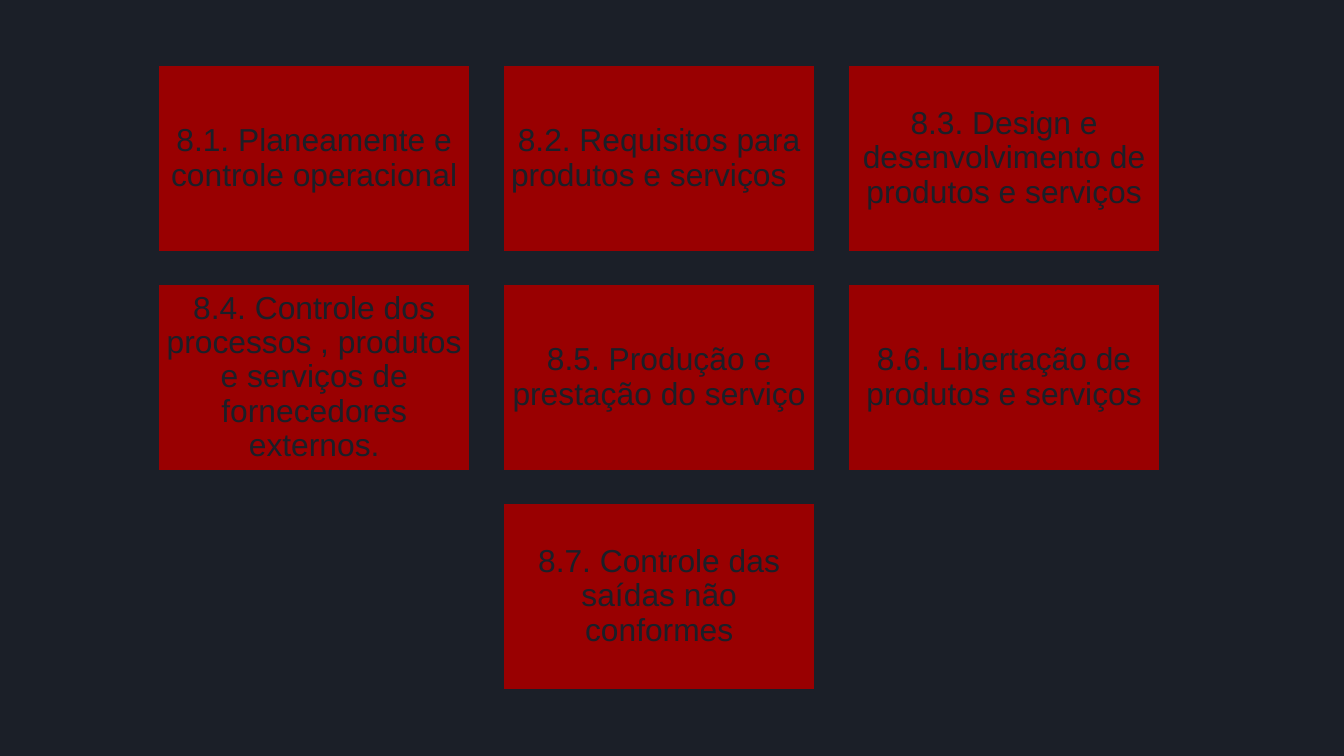
from pptx import Presentation
from pptx import util as u
from pptx.dml.color import RGBColor
from pptx.enum import shapes, text

COLORS = {"night": "1B1F28", "red": "990001"}
ROWS = [
    ["8.1. Planeamente e controle operacional",
     "8.2. Requisitos para produtos e serviços\t",
     "8.3. Design e desenvolvimento de produtos e serviços"],
    ["8.4. Controle dos processos , produtos e serviços de fornecedores externos.",
     "8.5. Produção e prestação do serviço",
     "8.6. Libertação de produtos e serviços"],
    ["8.7. Controle das saídas não conformes"],
]

# Grid, in centimetres
COLUMNS = 3
LEFT, TOP = 2.97, 1.22
WIDTH, HEIGHT = 5.94, 3.56
GAP = 0.58
INSET = u.Cm(0.17)


class Deck:
    frame_format = {
        "word_wrap": True, "vertical_anchor": text.MSO_ANCHOR.MIDDLE,
        "margin_left": INSET, "margin_right": INSET,
        "margin_top": INSET, "margin_bottom": INSET,
    }
    paragraph_format = {"alignment": text.PP_ALIGN.CENTER, "line_spacing": 0.9}
    font_format = {"name": "Arial", "size": u.Pt(17)}

    def __init__(self, slide):
        self.s = slide

    def color(self, name):
        return RGBColor.from_string(COLORS[name])

    def apply(self, target, values):
        for name, value in values.items():
            setattr(target, name, value)

    def background(self, color):
        fill = self.s.background.fill
        fill.solid()
        fill.fore_color.rgb = self.color(color)

    def box(self, label, x, y):
        sp = self.s.shapes.add_shape(
            shapes.MSO_SHAPE.RECTANGLE,
            u.Cm(x), u.Cm(y), u.Cm(WIDTH), u.Cm(HEIGHT))
        sp.shadow.inherit = False
        sp.fill.solid()
        sp.fill.fore_color.rgb = self.color("red")
        sp.line.color.rgb = self.color("night")
        sp.line.width = u.Pt(2)
        tf = sp.text_frame
        p = tf.paragraphs[0]
        r = p.add_run()
        r.text = label
        self.apply(tf, self.frame_format)
        self.apply(p, self.paragraph_format)
        self.apply(r.font, self.font_format)
        r.font.color.rgb = self.color("night")


def main():
    prs = Presentation()
    prs.slide_width, prs.slide_height = u.Cm(25.4), u.Cm(14.29)
    deck = Deck(prs.slides.add_slide(prs.slide_layouts[6]))
    deck.background("night")

    # Clause boxes; a short row is centred
    for i, row in enumerate(ROWS):
        offset = (COLUMNS - len(row)) / 2
        for j, label in enumerate(row):
            deck.box(label, LEFT + (offset + j) * (WIDTH + GAP),
                     TOP + i * (HEIGHT + GAP))

    prs.save("out.pptx")


if __name__ == "__main__":
    main()
